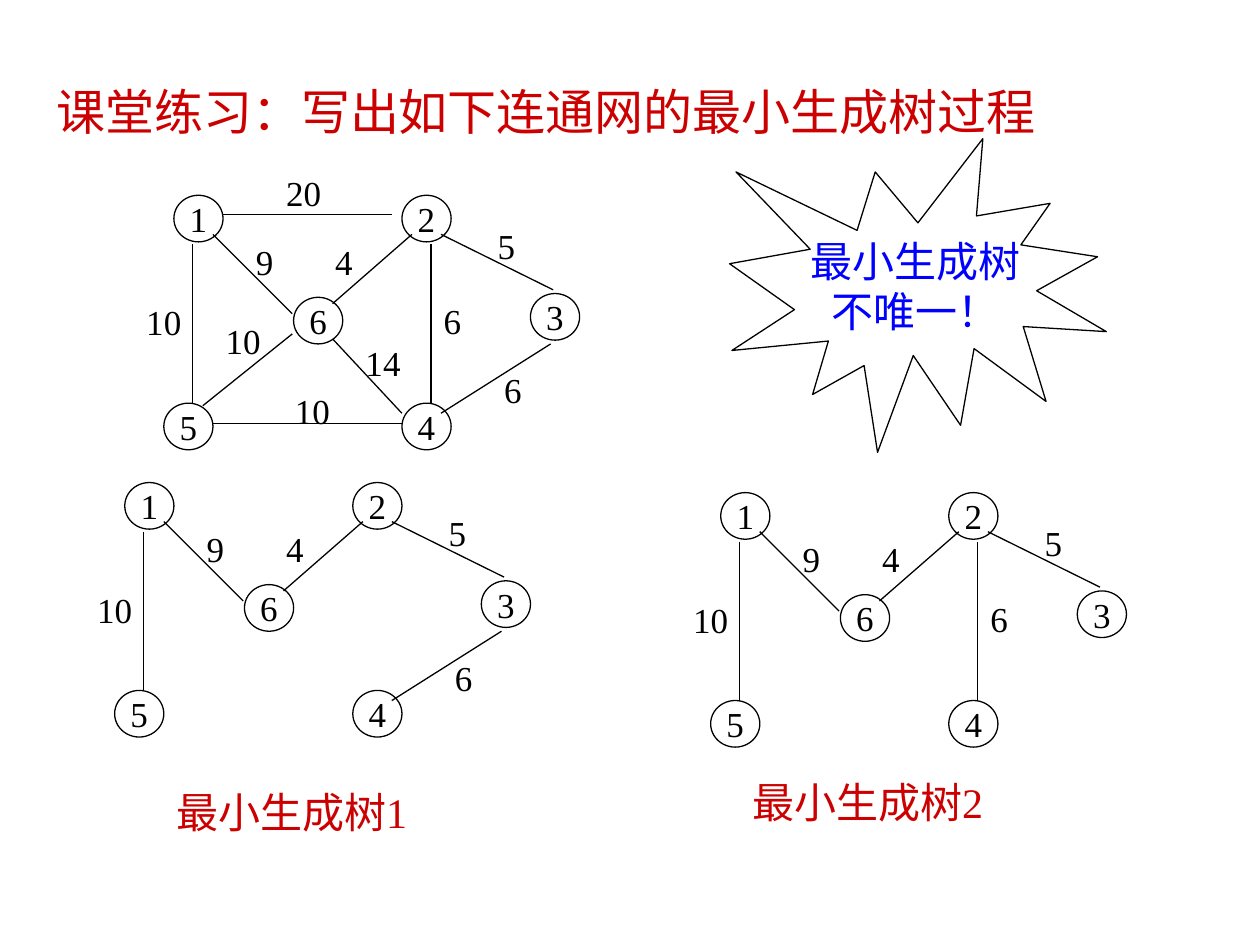
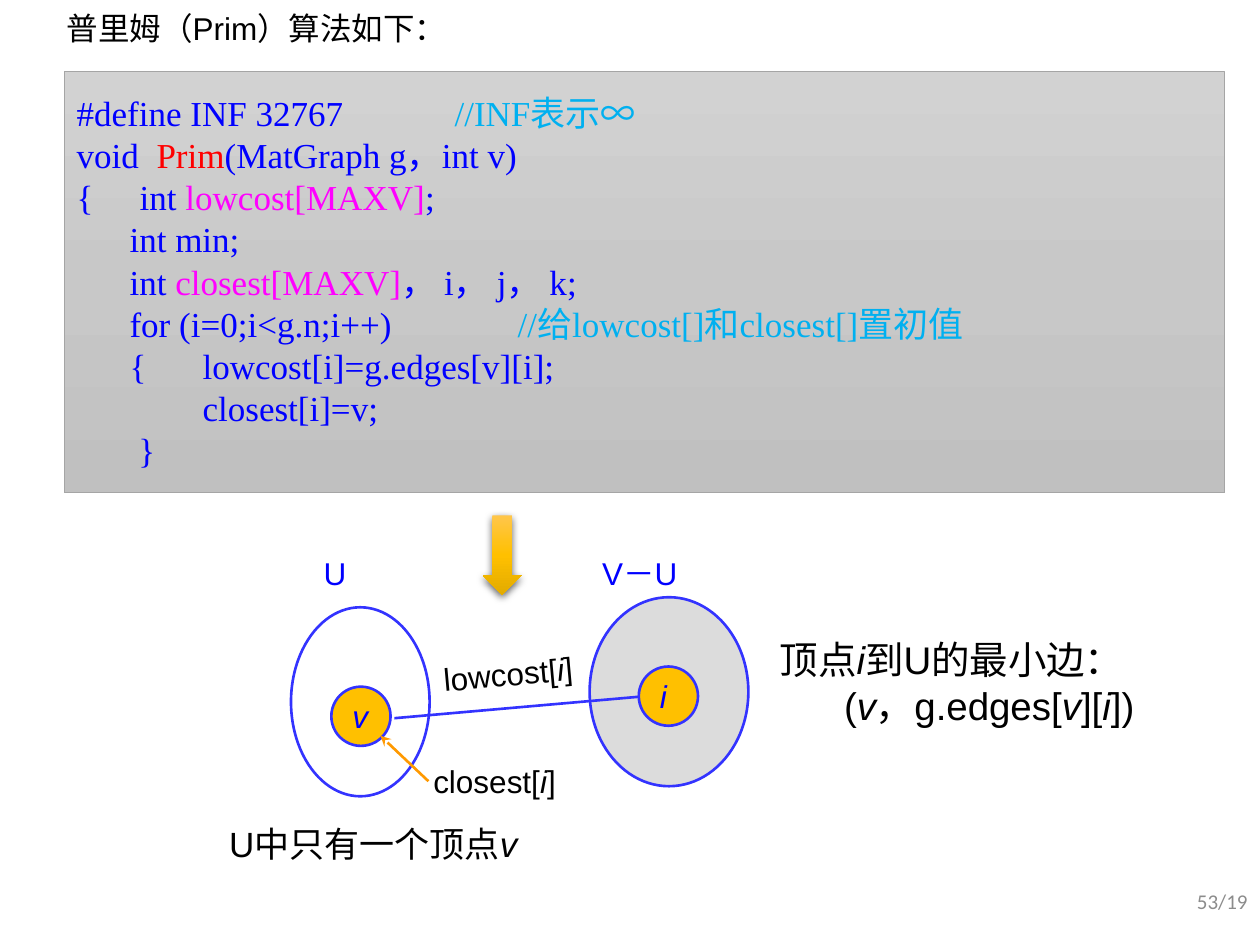
from copy import deepcopy
from dataclasses import dataclass

from lxml.etree import SubElement
from pptx import Presentation
from pptx.dml.color import RGBColor
from pptx.enum.shapes import MSO_CONNECTOR, MSO_SHAPE
from pptx.enum.text import MSO_ANCHOR, PP_ALIGN
from pptx.oxml.ns import qn
from pptx.util import Inches, Pt

COLUMNS, ROWS = 100, 75
CELL = Inches(10) / COLUMNS

BLACK = RGBColor(0x00, 0x00, 0x00)
CRIMSON = RGBColor(0xCC, 0x00, 0x00)
RED = RGBColor(0xFF, 0x00, 0x00)
BLUE = RGBColor(0x00, 0x00, 0xFF)
OUTLINE_BLUE = RGBColor(0x33, 0x33, 0xFF)
SKY = RGBColor(0x00, 0xB0, 0xF0)
MAGENTA = RGBColor(0xFF, 0x00, 0xFF)
AMBER = RGBColor(0xFF, 0xC0, 0x00)
ORANGE = RGBColor(0xFF, 0x99, 0x00)
SILVER = RGBColor(0xC9, 0xC9, 0xC9)
PANEL_EDGE = RGBColor(0xA5, 0xA5, 0xA5)
PAGE_GRAY = RGBColor(0x8C, 0x8C, 0x8C)
PANEL_SHADES = (RGBColor(0xD2, 0xD2, 0xD2), RGBColor(0xC8, 0xC8, 0xC8), RGBColor(0xC0, 0xC0, 0xC0))
ARROW_SHADES = (RGBColor(0xFF, 0xC6, 0x4B), AMBER, RGBColor(0xE3, 0xAB, 0x00))

SANS, SERIF, PAGE_FONT = "Arial", "Times New Roman", "Calibri"

VERTICES = {1: (0.8, 0), 2: (18.9, 0), 3: (29.1, 7.8),
            4: (18.9, 16.5), 5: (0, 16.5), 6: (10.3, 8.1)}
EDGES = {
    (1, 2): ((4.7, 1.5), (18.1, 1.5), "20", (8.7, -2.4)),
    (1, 5): ((2.3, 3.9), (2.3, 16.5), "10", (-2.4, 7.9)),
    (1, 6): ((3.9, 3.1), (10.2, 9.4), "9", (6.3, 3.1)),
    (2, 3): ((22, 3.1), (30.9, 7.5), "5", (25.5, 1.8)),
    (2, 4): ((21.2, 3.9), (21.2, 16.5), "6", (21.2, 7.8)),
    (2, 6): ((19.7, 3.1), (13.4, 8.6), "4", (12.6, 3.1)),
    (3, 4): ((30.7, 11.8), (22, 17.3), "6", (26, 13.3)),
    (4, 5): ((3.9, 18.1), (18.9, 18.1), "10", (9.4, 14.9)),
    (4, 6): ((13.4, 11.4), (18.9, 17.3), "14", (15, 11.1)),
    (5, 6): ((10.2, 11), (3.1, 16.7), "10", (3.9, 9.4)),
}
SHARED_TREE = [(1, 5), (1, 6), (2, 6), (2, 3)]

CODE = [
    (0, [("#define INF 32767\t\t", BLUE), ("//INF表示∞", SKY)]),
    (0, [("void  ", BLUE), ("Prim", RED), ("(MatGraph g，int v)", BLUE)]),
    (0, [("{\tint ", BLUE), ("lowcost[MAXV]", MAGENTA), (";", BLUE)]),
    (4.2, [("int min;", BLUE)]),
    (4.2, [("int ", BLUE), ("closest[MAXV]", MAGENTA), ("， i， j， k;", BLUE)]),
    (4.2, [("for (i=0;i<g.n;i++)\t\t", BLUE), ("//给lowcost[]和closest[]置初值", SKY)]),
    (4.2, [("{\tlowcost[i]=g.edges[v][i];", BLUE)]),
    (10, [("closest[i]=v;", BLUE)]),
    (4.9, [("}", BLUE)]),
]
DECLARATION_ROW = 2


def cells(count):
    return round(count * CELL)


@dataclass
class Box:
    left: float
    top: float
    width: float = 0
    height: float = 0

    def inner(self, left, top, width=0, height=0):
        return Box(self.left + left, self.top + top, width, height)

    def emu(self):
        return [cells(v) for v in (self.left, self.top, self.width, self.height)]


def style_run(run, font, size, color, italic=False):
    run.font.name = font
    run.font.size = Pt(size)
    run.font.color.rgb = color
    run.font.italic = italic


def write(shape, lines, font, size, color, align=PP_ALIGN.LEFT,
          anchor=MSO_ANCHOR.TOP, wrap=True):
    frame = shape.text_frame
    frame.word_wrap = wrap
    frame.vertical_anchor = anchor
    for row, line in enumerate(lines):
        paragraph = frame.paragraphs[0] if row == 0 else frame.add_paragraph()
        paragraph.alignment = align
        for index, part in enumerate([line] if isinstance(line, str) else line):
            run = paragraph.add_run()
            if isinstance(part, tuple):
                run.text, run_color = part
                style_run(run, font, size, run_color)
            else:
                run.text = part
                style_run(run, font, size, color, index % 2 == 1)
    return frame


def add_text(slide, box, lines, font, size, color, **layout):
    label = slide.shapes.add_textbox(*box.emu())
    write(label, lines, font, size, color, **layout)
    return label


def add_outline(slide, preset, box, line, width, fill=None):
    shape = slide.shapes.add_shape(preset, *box.emu())
    shape.shadow.inherit = False
    if fill is None:
        shape.fill.background()
    else:
        shape.fill.solid()
        shape.fill.fore_color.rgb = fill
    if line is None:
        shape.line.fill.background()
    else:
        shape.line.color.rgb = line
        shape.line.width = Pt(width)
    return shape


def add_line(slide, box, start, end, color, width):
    ends = [box.inner(*point).emu()[:2] for point in (start, end)]
    line = slide.shapes.add_connector(MSO_CONNECTOR.STRAIGHT, *ends[0], *ends[1])
    line.line.color.rgb = color
    line.line.width = Pt(width)
    SubElement(line._element.spPr, qn("a:effectLst"))
    return line


def shade_down(shape, shades):
    shape.fill.gradient()
    shape.fill.gradient_angle = 270
    stops = shape._element.spPr.find(".//" + qn("a:gsLst"))
    stops.insert(1, deepcopy(stops[0]))
    for index, (stop, shade) in enumerate(zip(shape.fill.gradient_stops, shades)):
        stop.position = index / 2
        stop.color.rgb = shade


def indent(paragraph, first_line, margin=0):
    properties = paragraph._p.get_or_add_pPr()
    properties.set("marL", str(cells(margin)))
    properties.set("indent", str(cells(first_line)))
    return properties


def draw_graph(slide, box, edges):
    for number, spot in VERTICES.items():
        vertex = add_outline(slide, MSO_SHAPE.OVAL, box.inner(*spot, 3.9, 3.7), BLACK, 0.75)
        write(vertex, [str(number)], SERIF, 20, BLACK, align=PP_ALIGN.CENTER,
              anchor=MSO_ANCHOR.MIDDLE, wrap=False)
    for edge in edges:
        start, end, weight, spot = EDGES[edge]
        add_line(slide, box, start, end, BLACK, 0.75)
        add_text(slide, box.inner(*spot, 2 + 1.4 * len(weight), 4.3), [weight], SERIF, 20,
                 BLACK, align=PP_ALIGN.CENTER, anchor=MSO_ANCHOR.MIDDLE, wrap=False)


def draw_tree(slide, box, last_edge, caption, caption_spot):
    draw_graph(slide, box, SHARED_TREE + [last_edge])
    add_text(slide, box.inner(*caption_spot, 20.5, 5), [caption], SERIF, 24, CRIMSON)


def draw_burst(slide, box):
    burst = add_outline(slide, MSO_SHAPE.EXPLOSION1, box, BLACK, 0.75)
    frame = write(burst, ["最小生成树", "不唯一！"], SANS, 24, BLUE,
                  align=PP_ALIGN.CENTER, anchor=MSO_ANCHOR.MIDDLE, wrap=False)
    for paragraph in frame.paragraphs:
        indent(paragraph, -3.8, 3.8)


def build_exercise(slide):
    add_text(slide, Box(3.5, 6, 81.9, 5.7), ["课堂练习：写出如下连通网的最小生成树过程"],
             SANS, 28, CRIMSON)
    draw_graph(slide, Box(13, 15.5), EDGES)
    draw_tree(slide, Box(9.1, 38.3), (3, 4), "最小生成树1", (3.9, 23.6))
    draw_tree(slide, Box(56.4, 39.1), (2, 4), "最小生成树2", (2.3, 22))
    draw_burst(slide, Box(57.9, 11, 29.9, 24.9))


def draw_code(slide, box):
    panel = add_outline(slide, MSO_SHAPE.RECTANGLE, box, PANEL_EDGE, 0.5)
    shade_down(panel, PANEL_SHADES)
    frame = write(panel, [parts for _, parts in CODE], SERIF, 20, BLUE)
    frame.margin_top = frame.margin_bottom = cells(1.6)
    for paragraph, (first_line, _) in zip(frame.paragraphs, CODE):
        indent(paragraph, first_line)
    declaration = frame.paragraphs[DECLARATION_ROW]._p.get_or_add_pPr()
    tabs = SubElement(declaration, qn("a:tabLst"))
    SubElement(tabs, qn("a:tab"), pos=str(cells(4.8)), algn="l")


def draw_down_arrow(slide, box):
    arrow = add_outline(slide, MSO_SHAPE.DOWN_ARROW, box, None, 0)
    shade_down(arrow, ARROW_SHADES)
    effects = arrow._element.spPr.find(qn("a:effectLst"))
    shadow = SubElement(effects, qn("a:outerShdw"), blurRad=str(Pt(4.5)),
                        dist=str(Pt(1.5)), dir="5400000", algn="ctr", rotWithShape="0")
    tint = SubElement(shadow, qn("a:srgbClr"), val=str(BLACK))
    SubElement(tint, qn("a:alpha"), val="63000")


def draw_vertex_sets(slide, box):
    rest = add_outline(slide, MSO_SHAPE.OVAL, box.inner(23.7, 6.5, 12.6, 15),
                       OUTLINE_BLUE, 1.5, SILVER)
    tint = rest._element.spPr.find(".//" + qn("a:srgbClr"))
    SubElement(tint, qn("a:alpha"), val="63000")
    add_outline(slide, MSO_SHAPE.OVAL, box.inner(0, 7.3, 11, 15), OUTLINE_BLUE, 1.5)
    for name, left, top in (("i", 27.6, 12), ("v", 3.2, 13.6)):
        vertex = add_outline(slide, MSO_SHAPE.OVAL, box.inner(left, top, 4.7, 4.7),
                             OUTLINE_BLUE, 1.5, AMBER)
        write(vertex, [["", name]], SANS, 18, BLUE, anchor=MSO_ANCHOR.MIDDLE, wrap=False)
    for name, left, width in (("U", 1.6, 5.5), ("V－U", 23.7, 11.8)):
        add_text(slide, box.inner(left, 2.6, width, 4), [name], SANS, 18, BLUE)
    add_line(slide, box, (8.2, 16.1), (27.6, 14.4), OUTLINE_BLUE, 1.5)
    pointer = add_line(slide, box, (10.9, 21.1), (7.1, 17.5), ORANGE, 1.5)
    SubElement(pointer.line._get_or_add_ln(), qn("a:tailEnd"), type="stealth")
    lowcost = add_text(slide, box.inner(11.1, 10.5, 13.4, 4), [["lowcost[", "i", "]"]],
                       SANS, 18, BLACK)
    lowcost.rotation = 354.9
    add_text(slide, box.inner(10.3, 19.1, 16.5, 4), [["closest[", "i", "]"]], SANS, 18, BLACK)
    draw_down_arrow(slide, box.inner(15.2, 0, 3.1, 6.3))


def draw_explanations(slide, box):
    add_text(slide, box.inner(0, 14.8, 26.6, 4.4), [["U中只有一个顶点", "v"]], SANS, 20, BLACK)
    shortest = add_text(slide, box.inner(43.7, 0, 35.2, 8.4),
                        [["顶点", "i", "到U的最小边："],
                         ["(", "v", "，g.edges[", "v", "][", "i", "])"]], SANS, 22, BLACK)
    indent(shortest.text_frame.paragraphs[1], 5.1)


def build_prim(slide):
    draw_code(slide, Box(5.1, 5.7, 92.1, 33.4))
    add_text(slide, Box(4.3, 0.2, 52.8, 4), ["普里姆（Prim）算法如下："], SANS, 18, BLACK)
    draw_vertex_sets(slide, Box(23.1, 40.9))
    draw_explanations(slide, Box(17.2, 50))
    add_text(slide, Box(77.5, 69.5, 22.5, 4), ["53/19"], PAGE_FONT, 12, PAGE_GRAY,
             align=PP_ALIGN.RIGHT, anchor=MSO_ANCHOR.MIDDLE)


def main():
    deck = Presentation()
    deck.slide_width, deck.slide_height = cells(COLUMNS), cells(ROWS)
    for build in (build_exercise, build_prim):
        build(deck.slides.add_slide(deck.slide_layouts[6]))
    deck.save("out.pptx")


if __name__ == "__main__":
    main()
